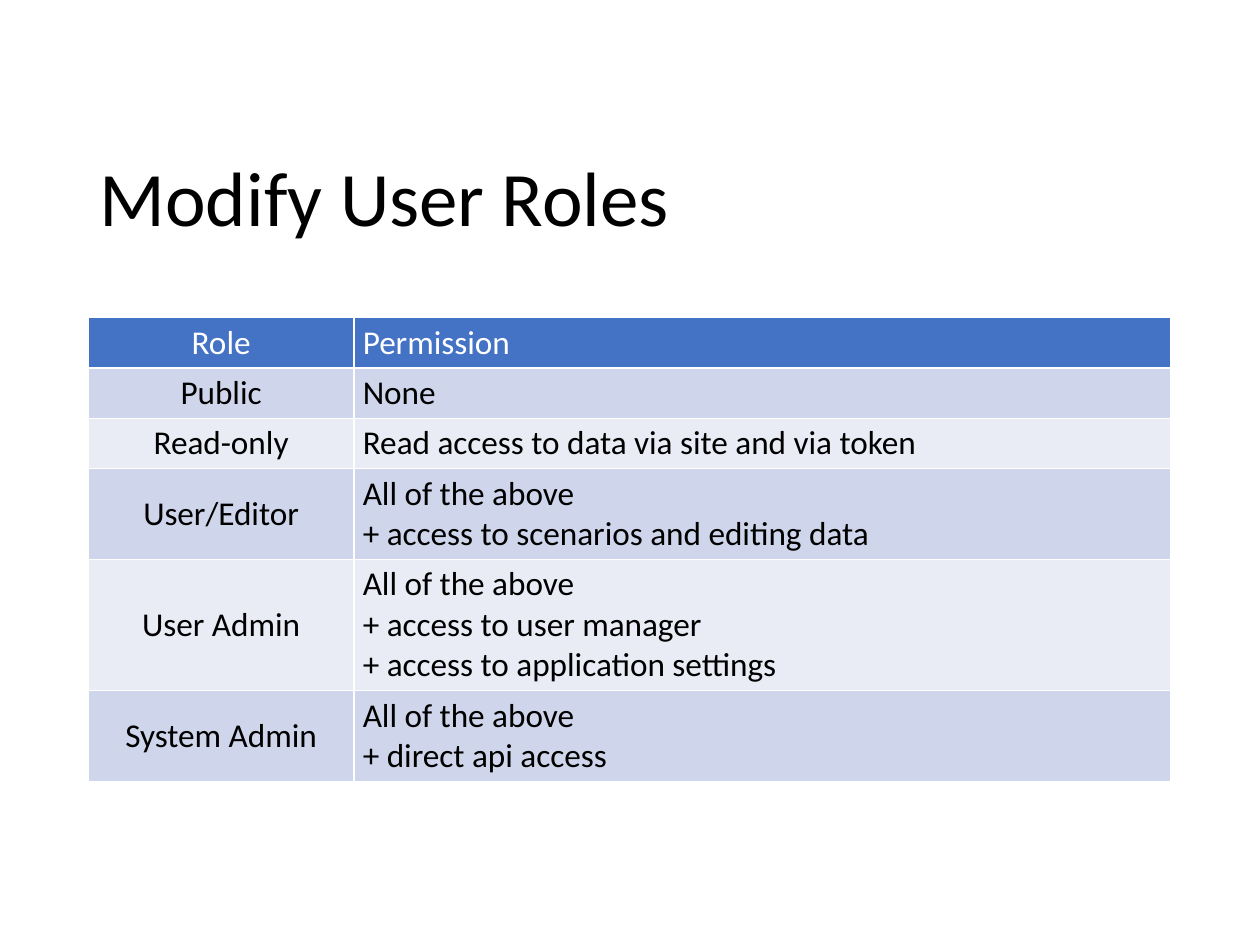
import pptx
import pptx.util
import pptx.dml.color
import pptx.enum.text
import pptx.oxml
import pptx.oxml.ns
from pptx.util import Inches

TITLE = "Modify User Roles"
ROLES = [
    ("Role", ["Permission"]),
    ("Public", ["None"]),
    ("Read-only", ["Read access to data via site and via token"]),
    ("User/Editor", ["All of the above", "+ access to scenarios and editing data"]),
    ("User Admin", ["All of the above", "+ access to user manager",
                    "+ access to application settings"]),
    ("System Admin", ["All of the above", "+ direct api access"]),
]
THEME = {
    "font": "Calibri", "title_size": 44, "cell_size": 19,
    "text": "000000", "header_text": "FFFFFF", "header": "4472C4",
    "bands": ("E9EBF5", "CFD5EA"), "border": "FFFFFF", "border_width": 1,
}
TITLE_BOX = (0.69, 1.15, 8.62, 0.83)
TABLE_LEFT, TABLE_TOP = 0.7, 2.52
COLUMNS = (2.11, 6.48)
ROW_HEIGHTS = {1: 0.4, 2: 0.7, 3: 1.01}

ALIGN = pptx.enum.text.PP_ALIGN
ANCHOR = pptx.enum.text.MSO_ANCHOR


def rgb(color):
    return pptx.dml.color.RGBColor.from_string(color)


def style_text(tf, size, color, align):
    for p in tf.paragraphs:
        p.alignment = align
        for r in p.runs:
            r.font.name = THEME["font"]
            r.font.size = pptx.util.Pt(size)
            r.font.bold = False
            r.font.color.rgb = rgb(color)


def add_borders(cell):
    tc_pr = cell._tc.get_or_add_tcPr()
    width = pptx.util.Pt(THEME["border_width"])
    for i, side in enumerate("LRTB"):
        tc_pr.insert(i, pptx.oxml.parse_xml(
            f'<a:ln{side} {pptx.oxml.ns.nsdecls("a")} w="{width}"><a:solidFill>'
            f'<a:srgbClr val="{THEME["border"]}"/></a:solidFill></a:ln{side}>'))


def fill_cell(cell, lines, fill, color, align, anchor):
    cell.text_frame.text = "\n".join(lines)
    style_text(cell.text_frame, THEME["cell_size"], color, align)
    cell.vertical_anchor = anchor
    cell.margin_left = cell.margin_right = Inches(0.07)
    cell.margin_top = cell.margin_bottom = Inches(0.04)
    cell.fill.solid()
    cell.fill.fore_color.rgb = rgb(fill)
    add_borders(cell)


def add_title(s):
    sp = s.shapes.title
    sp.left, sp.top, sp.width, sp.height = map(Inches, TITLE_BOX)
    tf = sp.text_frame
    tf.text = TITLE
    tf.word_wrap = True
    tf.vertical_anchor = ANCHOR.BOTTOM
    tf.paragraphs[0].line_spacing = 0.9
    style_text(tf, THEME["title_size"], THEME["text"], ALIGN.LEFT)


def add_roles(s):
    heights = [ROW_HEIGHTS[len(lines)] for _, lines in ROLES]
    table = s.shapes.add_table(
        len(ROLES), len(COLUMNS), Inches(TABLE_LEFT), Inches(TABLE_TOP),
        Inches(sum(COLUMNS)), Inches(sum(heights))).table
    for column, width in zip(table.columns, COLUMNS):
        column.width = Inches(width)
    for i, (role, lines) in enumerate(ROLES):
        table.rows[i].height = Inches(heights[i])
        fill = THEME["bands"][i % 2] if i else THEME["header"]
        color = THEME["text"] if i else THEME["header_text"]
        fill_cell(table.cell(i, 0), [role], fill, color, ALIGN.CENTER, ANCHOR.MIDDLE)
        fill_cell(table.cell(i, 1), lines, fill, color, ALIGN.LEFT, ANCHOR.TOP)


def main():
    prs = pptx.Presentation()
    prs.slide_width, prs.slide_height = Inches(10), Inches(7.5)
    s = prs.slides.add_slide(prs.slide_layouts[5])
    add_title(s)
    add_roles(s)
    prs.save("out.pptx")


if __name__ == "__main__":
    main()
